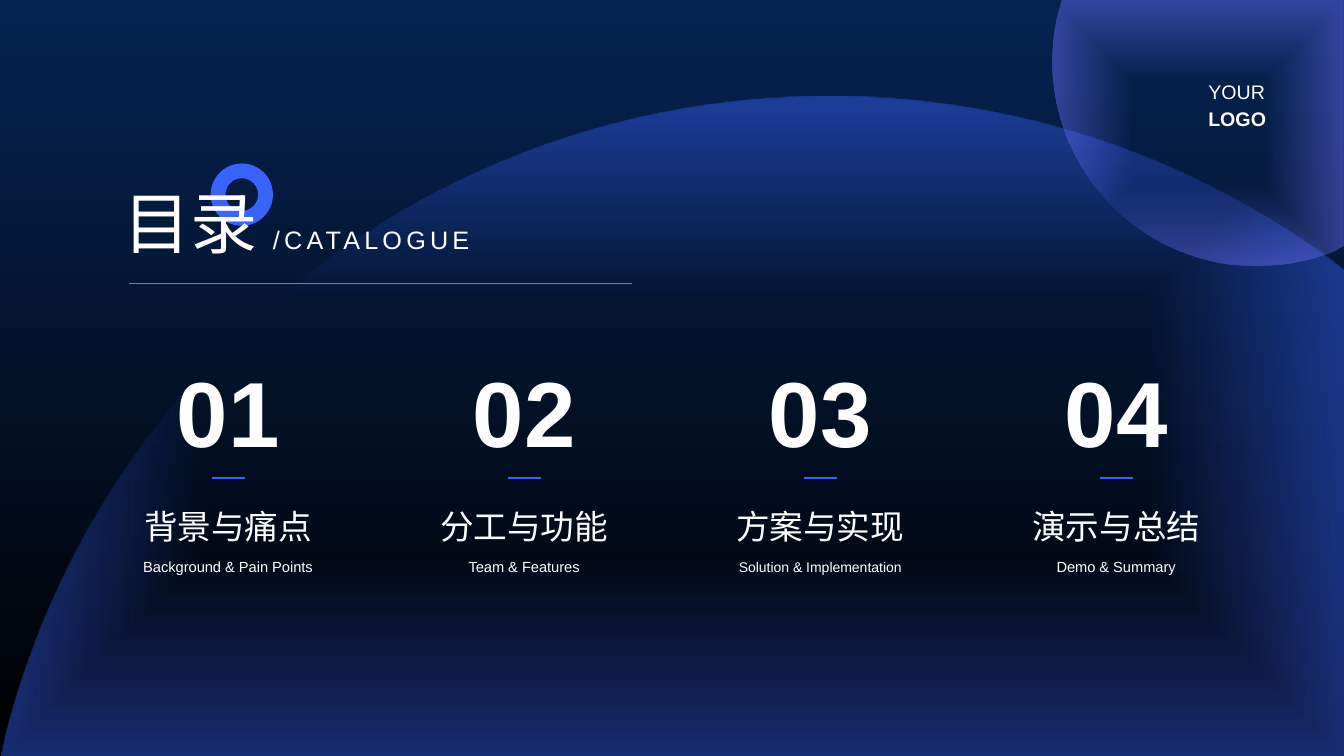
from lxml.etree import SubElement
from pptx import Presentation
from pptx.dml.color import RGBColor
from pptx.enum.shapes import MSO_CONNECTOR, MSO_SHAPE
from pptx.enum.text import MSO_ANCHOR, MSO_AUTO_SIZE, PP_ALIGN
from pptx.oxml import parse_xml
from pptx.oxml.ns import nsdecls, qn
from pptx.util import Cm, Pt

TITLE = "目录"
SUBTITLE = "/CATALOGUE"
CHAPTERS = [
    ("01", "背景与痛点", "Background & Pain Points", 10.5),
    ("02", "分工与功能", "Team & Features", 10.5),
    ("03", "方案与实现", "Solution & Implementation", 10),
    ("04", "演示与总结", "Demo & Summary", 10.5),
]
LOGO_LINES = [("YOUR", 2.02, False), ("LOGO", 2.7, True)]

DOME = [
    [(20.88, 2.44)],
    [(25.68, 2.44), (30.1, 4.01), (33.68, 6.68)],
    [(33.87, 6.83)], [(33.87, 19.05)], [(0.03, 19.05)], [(0.15, 18.49)],
    [(2.51, 9.25), (10.9, 2.44), (20.88, 2.44)],
]
ORB = [
    [(26.77, 0)], [(33.87, 0)], [(33.87, 6.17)], [(33.66, 6.3)],
    [(33.02, 6.55), (32.36, 6.68), (31.65, 6.68)],
    [(28.83, 6.68), (26.52, 4.39), (26.52, 1.57)],
    [(26.52, 1.04), (26.59, 0.53), (26.75, 0.05)],
]

FONT = "Arial"
WHITE = RGBColor(0xFF, 0xFF, 0xFF)
BLACK = RGBColor(0x00, 0x00, 0x00)
NAVY = RGBColor(0x06, 0x23, 0x52)
BLUE = RGBColor(0x38, 0x63, 0xFF)
VIOLET = RGBColor(0x6C, 0x6F, 0xFF)

FIRST_CENTER, COLUMN_STEP = 5.75, 7.46
NUMBER_WIDTH, LABEL_WIDTH, DASH_WIDTH = 3.58, 5.66, 0.83
CURVE_STEPS = 48


def format_text(shape, text, size, bold=False, align=PP_ALIGN.LEFT, anchor=MSO_ANCHOR.TOP,
                line_spacing=None, tracking=0, grow=True):
    """Write one formatted paragraph into a shape without insets."""
    frame = shape.text_frame
    frame.margin_left = frame.margin_top = frame.margin_right = frame.margin_bottom = 0
    frame.word_wrap = True
    frame.vertical_anchor = anchor
    frame.auto_size = MSO_AUTO_SIZE.SHAPE_TO_FIT_TEXT if grow else MSO_AUTO_SIZE.NONE
    paragraph = frame.paragraphs[0]
    paragraph.alignment = align
    if line_spacing:
        paragraph.line_spacing = line_spacing
    run = paragraph.add_run()
    run.text = text
    run.font.name = FONT
    run.font.size = Pt(size)
    run.font.bold = bold
    run.font.color.rgb = WHITE
    if tracking:
        for properties in shape.element.iter(qn("a:rPr")):
            properties.set("spc", str(tracking * 100))


def add_text(slide, text, left, top, width, height, **text_format):
    """Add a text box and format its text."""
    box = slide.shapes.add_textbox(Cm(left), Cm(top), Cm(width), Cm(height))
    format_text(box, text, **text_format)


def add_rule(slide, start, end, y, color, weight):
    """Add a horizontal line without a shadow."""
    rule = slide.shapes.add_connector(MSO_CONNECTOR.STRAIGHT, Cm(start), Cm(y), Cm(end), Cm(y))
    rule.line.color.rgb = color
    rule.line.width = Pt(weight)
    SubElement(rule.element.find(qn("p:spPr")), qn("a:effectLst"))


def trace_outline(segments):
    """Turn straight and cubic segments into a list of points."""
    points = list(segments[0])
    for segment in segments[1:]:
        if len(segment) == 1:
            points += segment
            continue
        controls = [points[-1], *segment]
        for step in range(1, CURVE_STEPS + 1):
            t = step / CURVE_STEPS
            weights = ((1 - t) ** 3, 3 * t * (1 - t) ** 2, 3 * t ** 2 * (1 - t), t ** 3)
            points.append(tuple(sum(weight * control[axis] for weight, control in zip(weights, controls))
                                for axis in (0, 1)))
    return [(Cm(x), Cm(y)) for x, y in points]


def add_glow(slide, segments, color, clear_until, edge_opacity):
    """Add an outline that is clear in the middle and tinted at its edge."""
    start, *points = trace_outline(segments)
    builder = slide.shapes.build_freeform(*start)
    builder.add_line_segments(points, close=True)
    shape = builder.convert_to_shape()
    stops = "".join(
        f'<a:gs pos="{position * 1000}"><a:srgbClr val="{color}">'
        f'<a:alpha val="{opacity * 1000}"/></a:srgbClr></a:gs>'
        for position, opacity in ((clear_until, 0), (100, edge_opacity)))
    gradient = parse_xml(
        f'<a:gradFill {nsdecls("a")} rotWithShape="1"><a:gsLst>{stops}</a:gsLst><a:path path="shape">'
        '<a:fillToRect l="50000" t="50000" r="50000" b="50000"/></a:path></a:gradFill>')
    shape.element.spPr.find(qn("a:custGeom")).addnext(gradient)
    shape.line.fill.background()
    shape.shadow.inherit = False


def add_backdrop(slide):
    """Draw the background, the ring and the two glows."""
    fill = slide.background.fill
    fill.gradient()
    fill.gradient_angle = 270
    for stop, color in zip(fill.gradient_stops, (NAVY, BLACK)):
        stop.color.rgb = color
    ring = slide.shapes.add_shape(MSO_SHAPE.DONUT, Cm(5.31), Cm(4.12), Cm(1.57), Cm(1.57))
    ring.adjustments[0] = 0.237
    ring.fill.solid()
    ring.fill.fore_color.rgb = BLUE
    ring.line.fill.background()
    ring.shadow.inherit = False
    add_glow(slide, DOME, BLUE, 40, 45)
    add_glow(slide, ORB, VIOLET, 39, 46)


def add_heading(slide):
    """Place the title, its subtitle and the line below."""
    add_text(slide, SUBTITLE, 6.88, 5.64, 8.53, 0.76, size=18, anchor=MSO_ANCHOR.MIDDLE, tracking=3)
    add_rule(slide, 15.93, 3.25, 7.14, VIOLET, 1)
    title = slide.shapes.title
    title.left, title.top, title.width, title.height = Cm(3.1), Cm(4.55), Cm(3.5), Cm(2.06)
    format_text(title, TITLE, size=48, anchor=MSO_ANCHOR.MIDDLE)
    slide.shapes.element.append(title.element)


def add_chapter(slide, center, number, heading, caption, caption_size):
    """Place one chapter column around its centre."""
    label_left = center - LABEL_WIDTH / 2
    add_text(slide, number, center - NUMBER_WIDTH / 2, 8.94, NUMBER_WIDTH, 2.95,
             size=66, bold=True, align=PP_ALIGN.CENTER, grow=False)
    add_text(slide, heading, label_left, 12.45, LABEL_WIDTH, 1.24,
             size=24, align=PP_ALIGN.CENTER, line_spacing=1.3)
    add_rule(slide, center - DASH_WIDTH / 2, center + DASH_WIDTH / 2, 12.04, BLUE, 1.75)
    add_text(slide, caption, label_left, 14.05, LABEL_WIDTH, 0.46,
             size=caption_size, align=PP_ALIGN.CENTER, anchor=MSO_ANCHOR.MIDDLE)


def main():
    """Build the catalogue slide and save it."""
    presentation = Presentation()
    presentation.slide_width, presentation.slide_height = Cm(33.87), Cm(19.05)
    slide = presentation.slides.add_slide(presentation.slide_layouts[5])
    add_backdrop(slide)
    add_heading(slide)
    for index, chapter in enumerate(CHAPTERS):
        add_chapter(slide, FIRST_CENTER + index * COLUMN_STEP, *chapter)
    for text, top, bold in LOGO_LINES:
        add_text(slide, text, 30.45, top, 2, 0.6, size=14, bold=bold)
    presentation.save("out.pptx")


if __name__ == "__main__":
    main()
